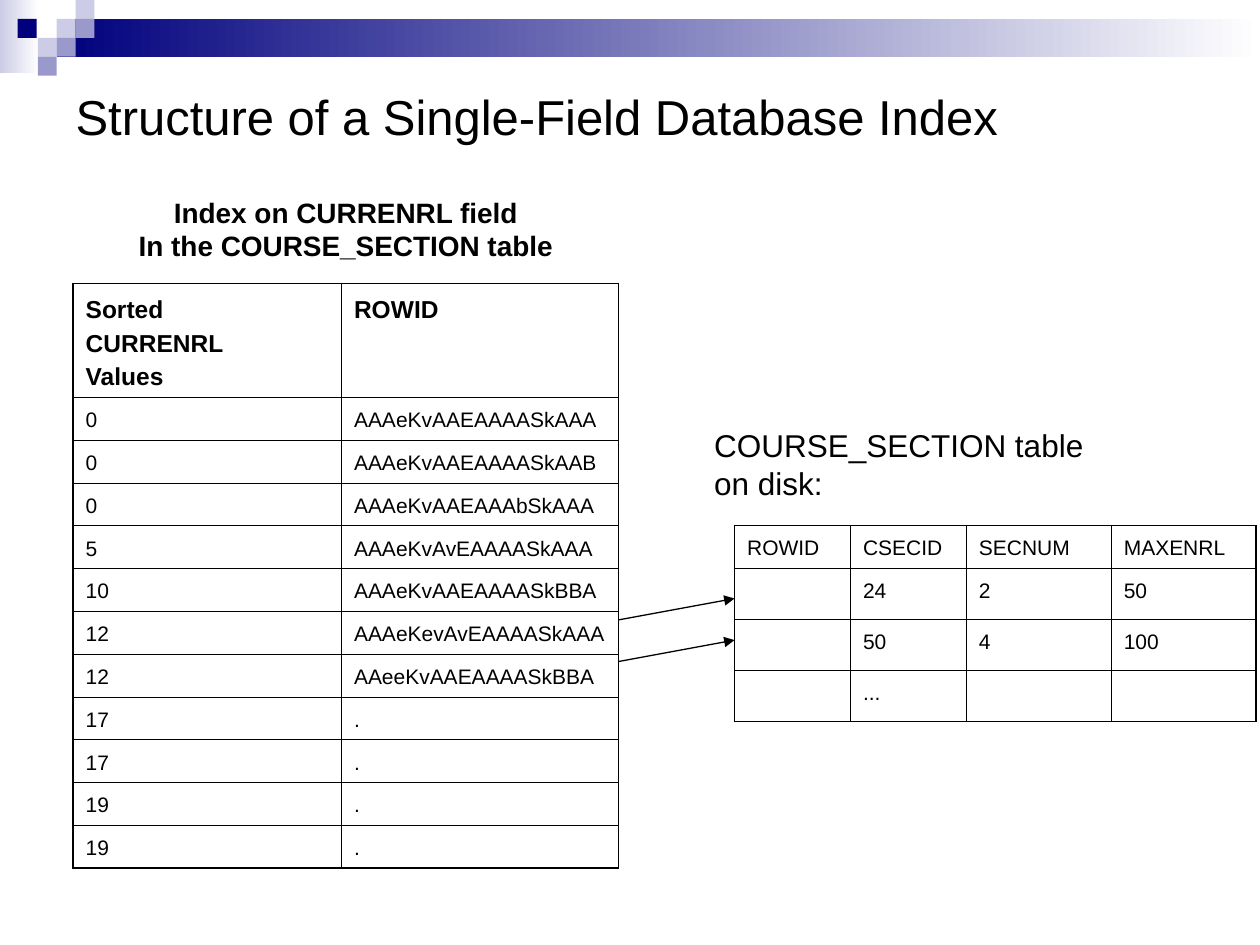
import pptx
import pptx.util
import pptx.dml.color
import pptx.enum.shapes
import pptx.enum.text
import pptx.oxml.ns
import lxml.etree

Inches = pptx.util.Inches
Pt = pptx.util.Pt
ALIGN = pptx.enum.text.PP_ALIGN

COLORS = {
    "text": "000000",
    "navy": "00007D",
    "violet": "9999CC",
    "lavender": "CCCCE6",
    "white": "FFFFFF",
}


class SlideBuilder:
    font = "Arial"
    thin, thick = 0.45, 1.08

    def __init__(self, slide):
        self.s = slide

    def color(self, name):
        return pptx.dml.color.RGBColor.from_string(COLORS[name])

    def sub(self, parent, tag, **attrs):
        return lxml.etree.SubElement(parent, pptx.oxml.ns.qn(tag), attrs)

    def put_text(self, tf, text, size, bold=False, align=ALIGN.LEFT, gap=0):
        formats = {"name": self.font, "size": Pt(size), "bold": bold}
        for i, line in enumerate(text.split("\n")):
            p = tf.add_paragraph() if i else tf.paragraphs[0]
            p.alignment = align
            p.space_before = Pt(gap if i else 0)
            r = p.add_run()
            r.text = line
            for key, value in formats.items():
                setattr(r.font, key, value)
            r.font.color.rgb = self.color("text")

    def title(self, text, x, y, w, h):
        sp = self.s.shapes.title
        frame = {"left": x, "top": y, "width": w, "height": h}
        for key, value in frame.items():
            setattr(sp, key, Inches(value))
        sp.text_frame.vertical_anchor = pptx.enum.text.MSO_ANCHOR.MIDDLE
        self.put_text(sp.text_frame, text, 28)

    def rect(self, x, y, w, h, *names):
        sp = self.s.shapes.add_shape(
            pptx.enum.shapes.MSO_SHAPE.RECTANGLE,
            Inches(x), Inches(y), Inches(w), Inches(h))
        sp.shadow.inherit = False
        sp.line.fill.background()
        if len(names) == 1:
            sp.fill.solid()
            sp.fill.fore_color.rgb = self.color(names[0])
            return
        sp.fill.gradient()
        sp.fill.gradient_angle = 0
        for position, (stop, name) in enumerate(zip(sp.fill.gradient_stops, names)):
            stop.position = position
            stop.color.rgb = self.color(name)

    def label(self, text, x, y, w, h, size, wrap=True, **formats):
        tf = self.s.shapes.add_textbox(
            Inches(x), Inches(y), Inches(w), Inches(h)).text_frame
        tf.word_wrap = wrap
        tf.auto_size = pptx.enum.text.MSO_AUTO_SIZE.SHAPE_TO_FIT_TEXT
        self.put_text(tf, text, size, **formats)

    def arrow(self, x1, y1, x2, y2):
        sp = self.s.shapes.add_connector(
            pptx.enum.shapes.MSO_CONNECTOR.STRAIGHT,
            Inches(x1), Inches(y1), Inches(x2), Inches(y2))
        sp.line.color.rgb = self.color("text")
        sp.line.width = Pt(0.75)
        spPr = sp._element.spPr
        self.sub(spPr.find(pptx.oxml.ns.qn("a:ln")), "a:tailEnd", type="triangle")
        self.sub(spPr, "a:effectLst")

    def borders(self, cell, outer):
        tcPr = cell._tc.get_or_add_tcPr()
        for i, side in enumerate("LRTB"):
            width = self.thick if side in outer else self.thin
            ln = self.sub(tcPr, f"a:ln{side}", w=str(int(Pt(width))))
            fill = self.sub(ln, "a:solidFill")
            self.sub(fill, "a:srgbClr", val=COLORS["text"])
            tcPr.insert(i, ln)

    def table(self, rows, x, y, widths, heights, bold_header=False):
        tbl = self.s.shapes.add_table(
            len(rows), len(widths), Inches(x), Inches(y),
            Inches(sum(widths)), Inches(sum(heights))).table
        tbl.first_row = tbl.horz_banding = False
        for column, width in zip(tbl.columns, widths):
            column.width = Inches(width)
        for row, height in zip(tbl.rows, heights):
            row.height = Inches(height)
        last_row, last_col = len(rows) - 1, len(widths) - 1
        for i, row in enumerate(rows):
            for j, text in enumerate(row):
                cell = tbl.cell(i, j)
                cell.fill.background()
                edges = {"L": j == 0, "R": j == last_col,
                         "T": i == 0, "B": i == last_row}
                self.borders(cell, [side for side, on in edges.items() if on])
                if text:
                    header = bold_header and i == 0
                    cell.margin_top = Inches(0.1 if header else 0.09)
                    self.put_text(cell.text_frame, text, 14 if header else 12,
                                  bold=header, gap=3.5)


INDEX_ROWS = [
    ("Sorted\nCURRENRL\nValues", "ROWID"),
    ("0", "AAAeKvAAEAAAASkAAA"),
    ("0", "AAAeKvAAEAAAASkAAB"),
    ("0", "AAAeKvAAEAAAbSkAAA"),
    ("5", "AAAeKvAvEAAAASkAAA"),
    ("10", "AAAeKvAAEAAAASkBBA"),
    ("12", "AAAeKevAvEAAAASkAAA"),
    ("12", "AAeeKvAAEAAAASkBBA"),
    ("17", "."),
    ("17", "."),
    ("19", "."),
    ("19", "."),
]
SECTION_ROWS = [
    ("ROWID", "CSECID", "SECNUM", "MAXENRL"),
    ("", "24", "2", "50"),
    ("", "50", "4", "100"),
    ("", "...", "", ""),
]
SQUARES = [
    (0.45, 0.15, "lavender"),
    (0.6, 0, "lavender"),
    (0.6, 0.15, "violet"),
    (0.3, 0.3, "lavender"),
    (0.14, 0.15, "navy"),
    (0.45, 0.3, "violet"),
    (0.3, 0.45, "violet"),
]


def main():
    prs = pptx.Presentation()
    prs.slide_width, prs.slide_height = Inches(10), Inches(7.5)
    b = SlideBuilder(prs.slides.add_slide(prs.slide_layouts[5]))

    b.rect(0, 0, 0.31, 0.58, "lavender", "white")
    b.rect(0.45, 0.15, 9.55, 0.3, "navy", "white")
    for x, y, name in SQUARES:
        b.rect(x, y, 0.15, 0.15, name)

    b.title("Structure of a Single-Field Database Index", 0.5, 0.17, 9, 1.5)
    b.table(INDEX_ROWS, 0.58, 2.25, [2.13, 2.2], [0.9] + [0.34] * 11,
            bold_header=True)
    b.table(SECTION_ROWS, 5.83, 4.17, [0.92, 0.92, 1.15, 1.15], [0.34] * 4)
    for y in (4.92, 5.25):
        b.arrow(4.91, y, 5.83, y - 0.17)
    b.label("Index on CURRENRL field\nIn the COURSE_SECTION table",
            1, 1.5, 3.49, 0.64, 16, wrap=False, bold=True, align=ALIGN.CENTER)
    b.label("COURSE_SECTION table on disk:", 5.57, 3.33, 3.18, 0.7, 18)

    prs.save("out.pptx")


if __name__ == "__main__":
    main()
